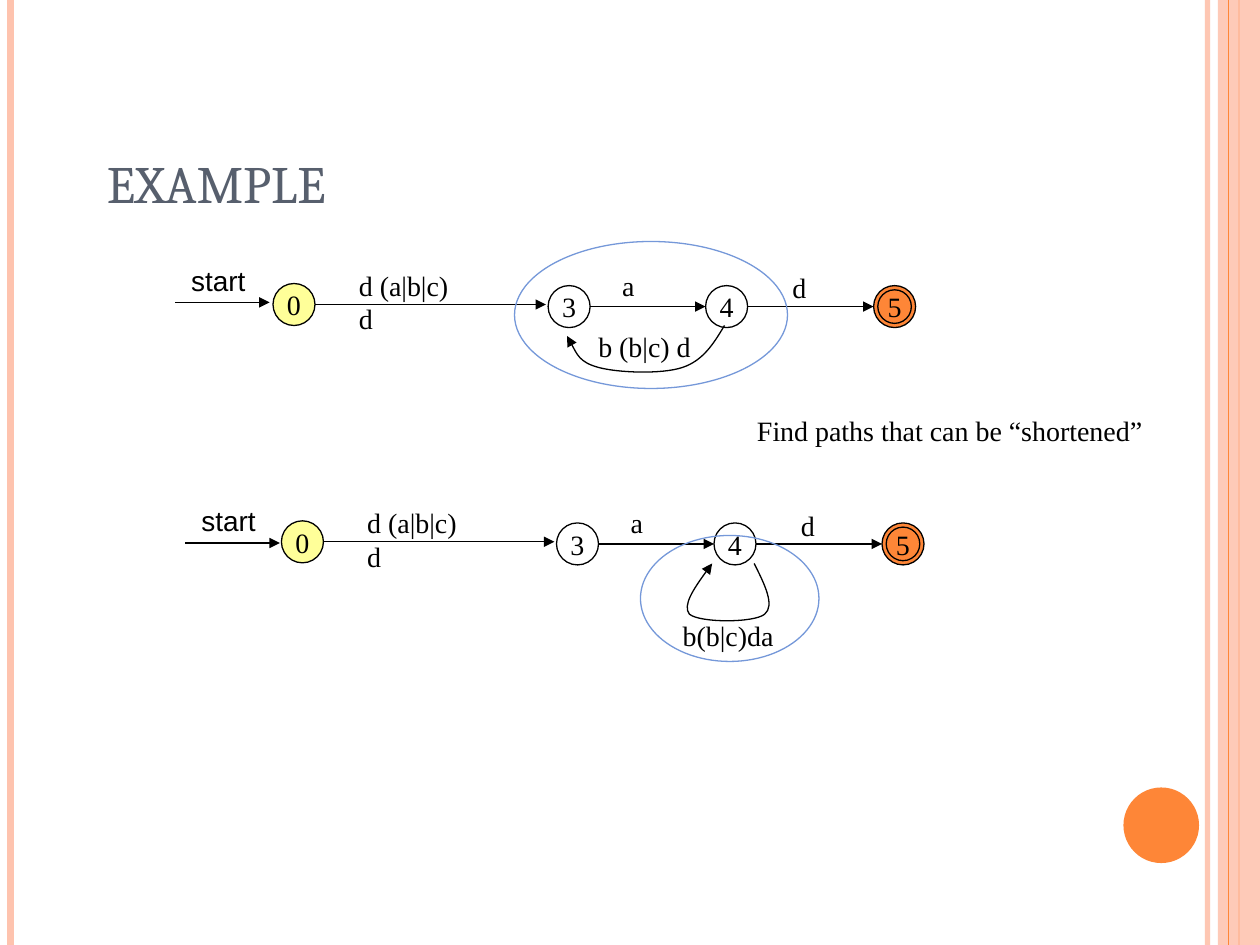
from pptx import Presentation
from pptx.dml.color import RGBColor
from pptx.enum.shapes import MSO_CONNECTOR, MSO_SHAPE
from pptx.enum.text import MSO_ANCHOR, MSO_AUTO_SIZE, PP_ALIGN
from pptx.oxml.ns import qn
from pptx.util import Pt
from lxml import etree

OVAL, RECTANGLE = MSO_SHAPE.OVAL, MSO_SHAPE.RECTANGLE
STRAIGHT = MSO_CONNECTOR.STRAIGHT
FIT_SHAPE = MSO_AUTO_SIZE.SHAPE_TO_FIT_TEXT
MIDDLE, BOTTOM = MSO_ANCHOR.MIDDLE, MSO_ANCHOR.BOTTOM
CENTER = PP_ALIGN.CENTER

COLORS = {"black": "000000", "orange": "FE8637", "peach": "FEC3AE",
          "yellow": "FFFF99", "blue": "7598D9", "title": "575F6D"}
SERIF, SANS, HEADING = "Times New Roman", "Arial", "Cambria"
SLIDE_WIDTH, SLIDE_HEIGHT = 720, 540
NODE_SIZE, INNER_SIZE, LABEL_HEIGHT = 24, 19.2, 26.6

# x, colour, line width, opacity in percent
LEFT_STRIPES = [(690, "peach", 3, 93), (6, "peach", 4.5, 100), (708, "orange", 1.5, 100)]
RIGHT_STRIPE = (702, "orange", 0.75, 100)

# Parts shared by both automata, placed as in the upper one
NODES = [("0", 156, 162, "yellow"), ("3", 313.2, 163.2, None),
         ("4", 403.2, 163.2, None), ("5", 499.2, 163.2, "orange")]
EDGES = [(180, 312, 174), (337.2, 403.2, 175.2), (427.2, 499.2, 175.2)]
EDGE_LABELS = [("d (a|b|c) d", 198, 149.8, 77), ("a", 348.5, 149.8, 21.6),
               ("d", 445.7, 151.2, 22.3)]
START_LABEL = ("start", 102.2, 146.9, 45.4)
START_ARROW = (100.1, 154.1, 172.8)

# Each loop is a start point followed by three points per Bezier curve
AUTOMATA = [
    {"offset": (0, 0), "start_offset": (0, 0),
     "loop": [(414, 186), (408, 196), (402, 206), (390, 210),
              (378, 214), (353, 213), (342, 210), (331, 207), (328, 199), (324, 192)],
     "loop_label": ("b (b|c) d", 334.8, 185, 67),
     "highlight": (294, 138, 156, 84)},
    {"offset": (4.8, 135.6), "start_offset": (5.8, 137.5),
     "loop": [(430.8, 321.8), (437, 334), (443, 346), (437, 351),
              (431, 356.5), (400, 356.5), (394.5, 351), (389.5, 346), (398, 334), (406.8, 321.8)],
     "loop_label": ("b(b|c)da", 383, 350, 66.2),
     "highlight": (366, 306, 102, 72)},
]
NOTE = ("Find paths that can be “shortened”", 425.5, 232.6, 234.7)


def rgb(name):
    return RGBColor.from_string(COLORS[name])


def set_opacity(color_format_parent, percent):
    color = color_format_parent.find(".//" + qn("a:srgbClr"))
    etree.SubElement(color, qn("a:alpha")).set("val", str(percent * 1000))


def style_shape(shape, fill=None, line=None):
    shape.shadow.inherit = False
    if fill:
        shape.fill.solid()
        shape.fill.fore_color.rgb = rgb(fill)
    else:
        shape.fill.background()
    if line:
        shape.line.color.rgb = rgb(line)
        shape.line.width = Pt(0.75)
    else:
        shape.line.fill.background()


def add_shape(slide, kind, box, fill=None, line=None):
    shape = slide.shapes.add_shape(kind, *map(Pt, box))
    style_shape(shape, fill, line)
    return shape


def write(shape, text, size=16, font=SERIF, color="black"):
    shape.text_frame.text = text
    run_font = shape.text_frame.paragraphs[0].runs[0].font
    run_font.size, run_font.name = Pt(size), font
    run_font.color.rgb = rgb(color)


def add_label(slide, text, left, top, width, font=SERIF):
    label = slide.shapes.add_textbox(Pt(left), Pt(top), Pt(width), Pt(LABEL_HEIGHT))
    label.text_frame.word_wrap = False
    label.text_frame.auto_size = FIT_SHAPE
    write(label, text, font=font)


def add_arrowhead(shape):
    etree.SubElement(shape.line._get_or_add_ln(), qn("a:tailEnd")).set("type", "triangle")


def add_line(slide, begin, end, color="black", width=0.75):
    line = slide.shapes.add_connector(STRAIGHT, *map(Pt, begin + end))
    line.line.color.rgb = rgb(color)
    line.line.width = Pt(width)
    etree.SubElement(line._element.spPr, qn("a:effectLst"))
    return line


def add_arrow(slide, left, right, y):
    add_arrowhead(add_line(slide, (left, y), (right, y)))


def add_stripe(slide, x, color, width, opacity):
    stripe = add_line(slide, (x, 0), (x, SLIDE_HEIGHT), color, width)
    if opacity < 100:
        set_opacity(stripe._element.spPr, opacity)


def add_loop(slide, points):
    """Draw a curved arrow: every three points after the first form a Bezier curve."""
    builder = slide.shapes.build_freeform(*points[0], scale=Pt(1))
    builder.add_line_segments(points[1:], close=False)
    loop = builder.convert_to_shape()
    style_shape(loop, line="black")
    add_arrowhead(loop)
    path = loop._element.find(".//" + qn("a:path"))
    segments = path.findall(qn("a:lnTo"))
    for first in range(0, len(segments), 3):
        curve = etree.SubElement(path, qn("a:cubicBezTo"))
        for segment in segments[first:first + 3]:
            curve.append(segment[0])
            path.remove(segment)


def add_background(slide):
    for stripe in LEFT_STRIPES:
        add_stripe(slide, *stripe)
    band = add_shape(slide, RECTANGLE, (696, 0, 24, SLIDE_HEIGHT), "peach")
    set_opacity(band._element.spPr, 87)
    add_stripe(slide, *RIGHT_STRIPE)
    add_shape(slide, OVAL, (642, 450, 43.2, 43.2), "orange")


def add_title(slide):
    title = slide.shapes.add_textbox(Pt(54), Pt(36), Pt(612), Pt(90))
    title.text_frame.word_wrap = True
    title.text_frame.vertical_anchor = BOTTOM
    write(title, "EXAMPLE", 30, HEADING, "title")


def add_automaton(slide, automaton):
    dx, dy = automaton["offset"]
    for text, left, top, fill in NODES:
        node = add_shape(slide, OVAL, (left + dx, top + dy, NODE_SIZE, NODE_SIZE), fill, "black")
        node.text_frame.word_wrap = False
        node.text_frame.vertical_anchor = MIDDLE
        write(node, text)
        node.text_frame.paragraphs[0].alignment = CENTER
    inset = (NODE_SIZE - INNER_SIZE) / 2
    add_shape(slide, OVAL, (left + dx + inset, top + dy + inset, INNER_SIZE, INNER_SIZE),
              line="black")
    for begin, end, y in EDGES:
        add_arrow(slide, begin + dx, end + dx, y + dy)
    for text, left, top, width in EDGE_LABELS:
        add_label(slide, text, left + dx, top + dy, width)
    add_loop(slide, automaton["loop"])
    add_label(slide, *automaton["loop_label"])
    add_shape(slide, OVAL, automaton["highlight"], line="blue")

    start_dx, start_dy = automaton["start_offset"]
    begin, end, y = START_ARROW
    add_arrow(slide, begin + start_dx, end + start_dx, y + start_dy)
    text, left, top, width = START_LABEL
    add_label(slide, text, left + start_dx, top + start_dy, width, SANS)


def main():
    presentation = Presentation()
    presentation.slide_width, presentation.slide_height = Pt(SLIDE_WIDTH), Pt(SLIDE_HEIGHT)
    slide = presentation.slides.add_slide(presentation.slide_layouts[6])
    add_background(slide)
    add_title(slide)
    for automaton in AUTOMATA:
        add_automaton(slide, automaton)
    add_label(slide, *NOTE)
    presentation.save("out.pptx")


if __name__ == "__main__":
    main()
